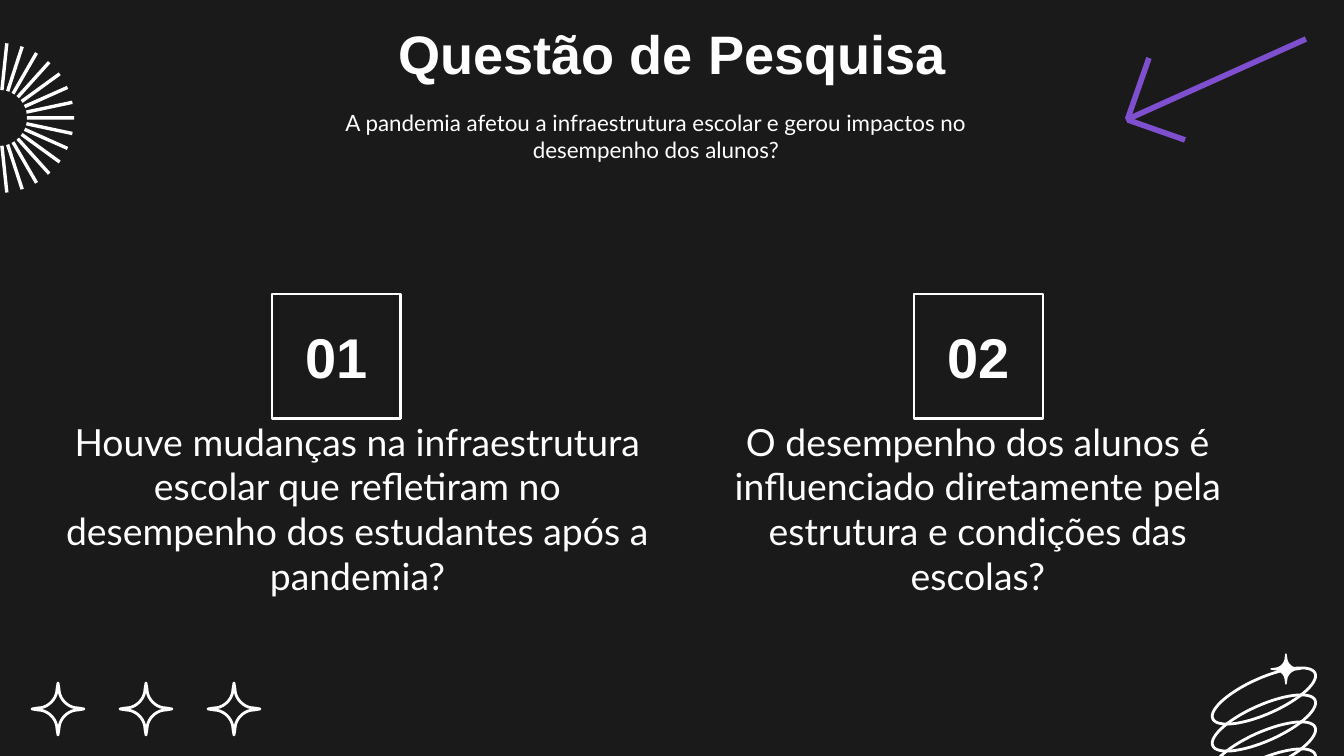
"""Build the research question slide with its two numbered questions."""
from dataclasses import dataclass
from math import cos, pi, radians, sin

from lxml.etree import SubElement
from pptx import Presentation
from pptx.dml.color import RGBColor as RGB
from pptx.enum.shapes import MSO_CONNECTOR as CONN, MSO_SHAPE as SHAPE
from pptx.enum.text import MSO_ANCHOR as ANCHOR, MSO_AUTO_SIZE as FIT, PP_ALIGN as ALIGN
from pptx.oxml.ns import qn
from pptx.util import Emu, Pt


@dataclass(frozen=True)
class Theme:
    """Colours, fonts and type sizes of the slide."""
    back: RGB = RGB(0x1A, 0x1A, 0x1A)
    ink: RGB = RGB(0xFF, 0xFF, 0xFF)
    accent: RGB = RGB(0x7E, 0x4F, 0xCF)
    head_font: str = "Arial"
    body_font: str = "Lato"
    title: int = 29
    number: int = 30
    question: int = 20
    subtitle: int = 12


THEME = Theme()
EMU_PER_PX = 914400 / 134.4
INSET = 13


def px(n):
    """Turn px into EMU."""
    return Emu(round(n * EMU_PER_PX))


def place(sp, x, y, w, h):
    """Set the position and size of a shape in px."""
    sp.left, sp.top, sp.width, sp.height = map(px, (x, y, w, h))


def set_text(sp, text, size, font, bold=False, anchor=ANCHOR.TOP, inset=INSET, bottom=None, fit=FIT.NONE):
    """Write centred text in a shape and format it."""
    tf = sp.text_frame
    tf.text = text
    tf.word_wrap = True
    tf.auto_size = fit
    tf.vertical_anchor = anchor
    tf.margin_left = tf.margin_right = px(INSET)
    tf.margin_top = px(inset)
    tf.margin_bottom = px(inset if bottom is None else bottom)
    p = tf.paragraphs[0]
    p.alignment = ALIGN.CENTER
    f = p.runs[0].font
    f.name, f.size, f.bold = font, Pt(size), bold
    f.color.rgb = THEME.ink


def add_text(s, box, text, size, **style):
    """Add a text box in the body font."""
    sp = s.shapes.add_textbox(*map(px, box))
    set_text(sp, text, size, THEME.body_font, **style)


def add_number(s, x, y, text):
    """Add an outlined box with a bold number."""
    sp = s.shapes.add_shape(SHAPE.RECTANGLE, *map(px, (x, y, 129, 125)))
    sp.shadow.inherit = False
    sp.fill.background()
    sp.line.color.rgb = THEME.ink
    sp.line.width = Pt(1.5)
    set_text(sp, text, THEME.number, THEME.head_font, True, ANCHOR.MIDDLE)


def add_line(s, x1, y1, x2, y2):
    """Add one stroke of the accent arrow."""
    c = s.shapes.add_connector(CONN.STRAIGHT, *map(px, (x1, y1, x2, y2)))
    c.line.color.rgb = THEME.accent
    c.line.width = Pt(3)
    SubElement(c._element.spPr, qn("a:effectLst"))


def add_outline(s, contours, filled=False, width=0):
    """Add a freeform made of closed contours."""
    fb = None
    for contour in contours:
        first, *rest = [(px(x), px(y)) for x, y in contour]
        if fb is None:
            fb = s.shapes.build_freeform(*first, scale=1.0)
        else:
            fb.move_to(*first)
        fb.add_line_segments(rest, close=True)
    sp = fb.convert_to_shape()
    sp.shadow.inherit = False
    if filled:
        sp.fill.solid()
        sp.fill.fore_color.rgb = THEME.ink
    else:
        sp.fill.background()
    if width:
        sp.line.color.rgb = THEME.ink
        sp.line.width = Pt(width)
    else:
        sp.line.fill.background()


def bezier(a, b, c, d, steps=10):
    """Sample a cubic curve."""
    ts = [i / steps for i in range(steps + 1)]
    return [tuple((1 - t) ** 3 * p + 3 * (1 - t) ** 2 * t * q + 3 * (1 - t) * t * t * r + t ** 3 * e
                  for p, q, r, e in zip(a, b, c, d)) for t in ts]


def star(cx, cy, radius):
    """Return a four-pointed star with concave sides."""
    side = [(0, -26)] + bezier((1, -20), (1, -10), (10, -1), (20, -1))
    points = []
    for _ in range(4):
        points += side
        side = [(-y, x) for x, y in side]
    k = radius / 26
    return [(cx + k * x, cy + k * y) for x, y in points]


def ray(cx, cy, angle, inner, outer, half):
    """Return one bar of the sunburst."""
    c, n = cos(angle), sin(angle)
    corners = (inner, -half), (outer, -half), (outer, half), (inner, half)
    return [(cx + u * c - v * n, cy + u * n + v * c) for u, v in corners]


def ring(cx, cy, a, b, tilt, steps=60):
    """Return a tilted ellipse."""
    c, n = cos(tilt), sin(tilt)
    turns = [2 * pi * i / steps for i in range(steps)]
    return [(cx + a * cos(t) * c - b * sin(t) * n, cy + a * cos(t) * n + b * sin(t) * c)
            for t in turns]


def add_ornaments(s):
    """Add the stars, the coil and the sunburst."""
    add_outline(s, [star(58 + 88 * i, 709, 26) for i in range(3)], width=1.5)
    add_outline(s, [ring(1264, 696 + 27 * i, 56, 18, radians(-24)) for i in range(4)], width=1.5)
    add_outline(s, [star(1286, 669, 15)], filled=True, width=0.75)
    add_outline(s, [ray(-1, 118, radians(12 * i), 28, 75, 1.7) for i in range(30)], filled=True)


def main():
    """Build and save the slide."""
    prs = Presentation()
    prs.slide_width, prs.slide_height = px(1344), px(756)
    s = prs.slides.add_slide(prs.slide_layouts[5])
    s.background.fill.solid()
    s.background.fill.fore_color.rgb = THEME.back

    add_ornaments(s)
    place(s.shapes.title, 106, 7, 1133, 85)
    set_text(s.shapes.title, "Questão de Pesquisa", THEME.title, THEME.head_font, True)

    add_number(s, 272, 294, "01")
    add_number(s, 914, 294, "02")
    add_text(s, (43, 454, 629, 157),
             "Houve mudanças na infraestrutura escolar que refletiram no desempenho "
             "dos estudantes após a pandemia?", THEME.question, anchor=ANCHOR.BOTTOM)
    add_text(s, (691, 441, 574, 215),
             "O desempenho dos alunos é influenciado diretamente pela estrutura "
             "e condições das escolas?", THEME.question, anchor=ANCHOR.BOTTOM, bottom=58)

    for stroke in ((1126, 120, 1306, 39), (1128, 120, 1185, 140), (1128, 118, 1149, 58)):
        add_line(s, *stroke)
    add_text(s, (301, 102, 710, 67),
             "A pandemia afetou a infraestrutura escolar e gerou impactos no "
             "desempenho dos alunos?", THEME.subtitle, inset=7, fit=FIT.SHAPE_TO_FIT_TEXT)
    prs.save("out.pptx")


if __name__ == "__main__":
    main()
